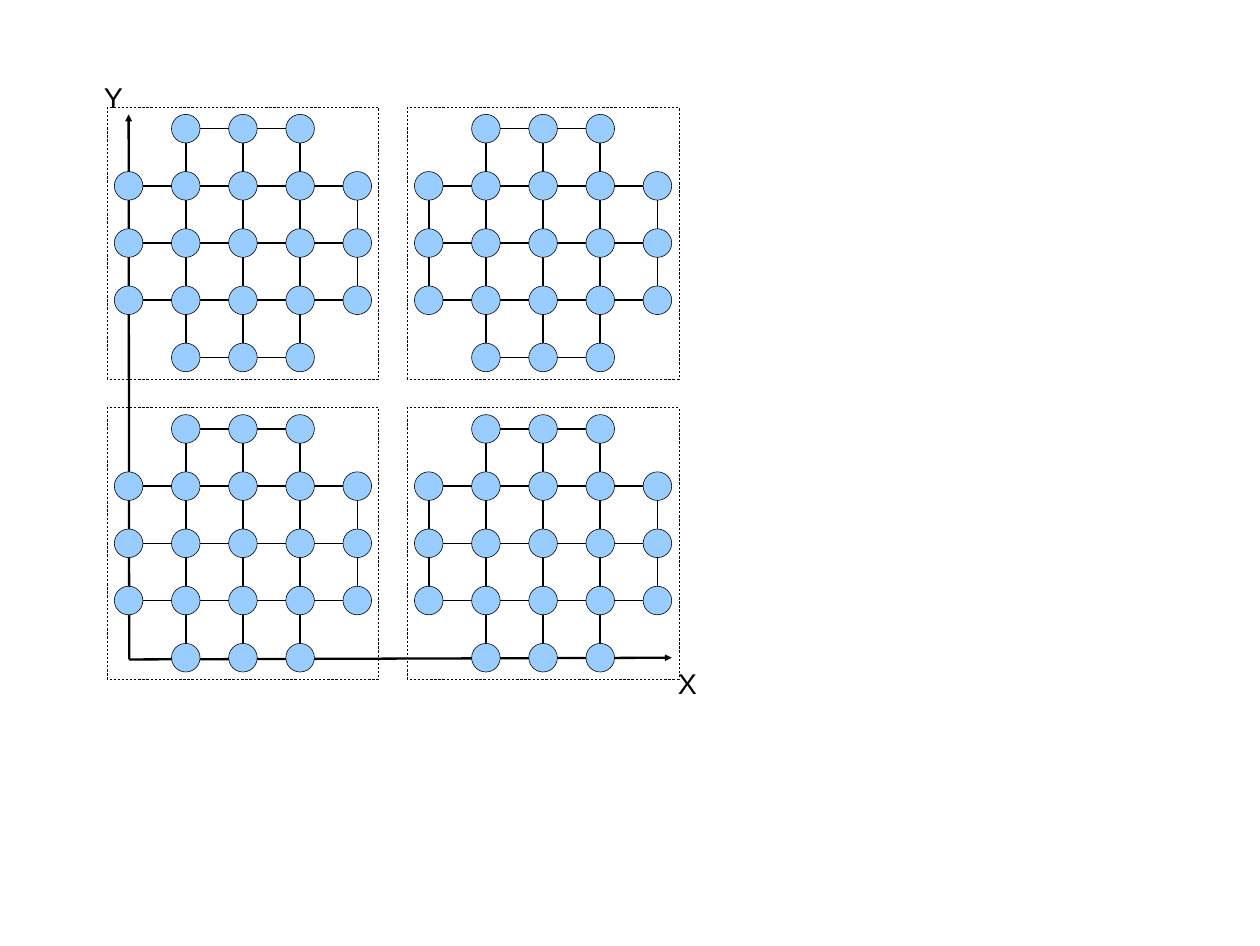
"""Four linked grids of nodes on an X and Y axis."""
from pptx import Presentation
from pptx.dml.color import RGBColor
from pptx.enum.dml import MSO_LINE_DASH_STYLE as Dash
from pptx.enum.shapes import MSO_CONNECTOR as Link, MSO_SHAPE as Kind
from pptx.enum.text import MSO_AUTO_SIZE as Fit
from pptx.oxml.ns import qn
from pptx.util import Inches, Pt
from lxml.etree import SubElement as Sub

BLACK = RGBColor(0, 0, 0)
BLUE = RGBColor(0x99, 0xCC, 0xFF)
WIDE, HIGH = 22.04, 16.54

SIDE = 5
STEP = 1
NODE = 0.5
FRAME = 4.75
LEFT, TOP = 2.25, 2.25
SHIFT = 5.25
BLOCKS = [(0, 0), (0, 1), (1, 0), (1, 1)]
ORIGIN = (2.26, 11.53)
TIPS = [(2.25, 2), (11.75, 11.5)]
NAMES = [("Y", 1.72, 1.34), ("X", 11.76, 11.59)]


def draw_line(slide, start, end, width=0, arrow=False):
    line = slide.shapes.add_connector(
        Link.STRAIGHT, *(Inches(v) for v in (*start, *end)))
    line.line.color.rgb = BLACK
    line.line.width = Pt(width)
    if arrow:
        Sub(line.line._get_or_add_ln(), qn("a:headEnd"), type="triangle")
    Sub(line._element.spPr, qn("a:effectLst"))


def draw_shape(slide, kind, x, y, size, fill=None):
    shape = slide.shapes.add_shape(
        kind, *(Inches(v) for v in (x, y, size, size)))
    shape.shadow.inherit = False
    shape.line.color.rgb = BLACK
    shape.line.width = Pt(0)
    if fill is None:
        shape.fill.background()
    else:
        shape.fill.solid()
        shape.fill.fore_color.rgb = fill
    return shape


def reach(i):
    """Give the first and last node of a row or column."""
    return (1, SIDE - 2) if i in (0, SIDE - 1) else (0, SIDE - 1)


def draw_block(slide, col, row):
    x, y = LEFT + col * SHIFT, TOP + row * SHIFT
    for i in range(SIDE):
        low, high = (k * STEP for k in reach(i))
        if col or i:
            draw_line(slide, (x + i * STEP, y + low), (x + i * STEP, y + high))
        if not row or i < SIDE - 1:
            draw_line(slide, (x + low, y + i * STEP), (x + high, y + i * STEP))
    for i in range(SIDE):
        first, last = reach(i)
        for j in range(first, last + 1):
            draw_shape(slide, Kind.OVAL, x + i * STEP - NODE / 2,
                       y + j * STEP - NODE / 2, NODE, BLUE)


def draw_frame(slide, col, row):
    edge = (FRAME - (SIDE - 1) * STEP) / 2
    frame = draw_shape(slide, Kind.RECTANGLE, LEFT + col * SHIFT - edge,
                       TOP + row * SHIFT - edge, FRAME)
    frame.line.dash_style = Dash.DASH


def draw_name(slide, text, x, y):
    box = slide.shapes.add_textbox(
        *(Inches(v) for v in (x, y, 0.53, 0.66)))
    frame = box.text_frame
    frame.text = text
    frame.word_wrap = False
    frame.auto_size = Fit.SHAPE_TO_FIT_TEXT
    font = frame.paragraphs[0].runs[0].font
    font.name, font.size = "Arial", Pt(36)
    font.color.rgb = BLACK


def main():
    deck = Presentation()
    deck.slide_width, deck.slide_height = Inches(WIDE), Inches(HIGH)
    slide = deck.slides.add_slide(deck.slide_layouts[6])
    for tip in TIPS:
        draw_line(slide, tip, ORIGIN, 2.89, True)
    for block in BLOCKS:
        draw_block(slide, *block)
    for name in NAMES:
        draw_name(slide, *name)
    for block in BLOCKS:
        draw_frame(slide, *block)
    deck.save("out.pptx")


if __name__ == "__main__":
    main()
